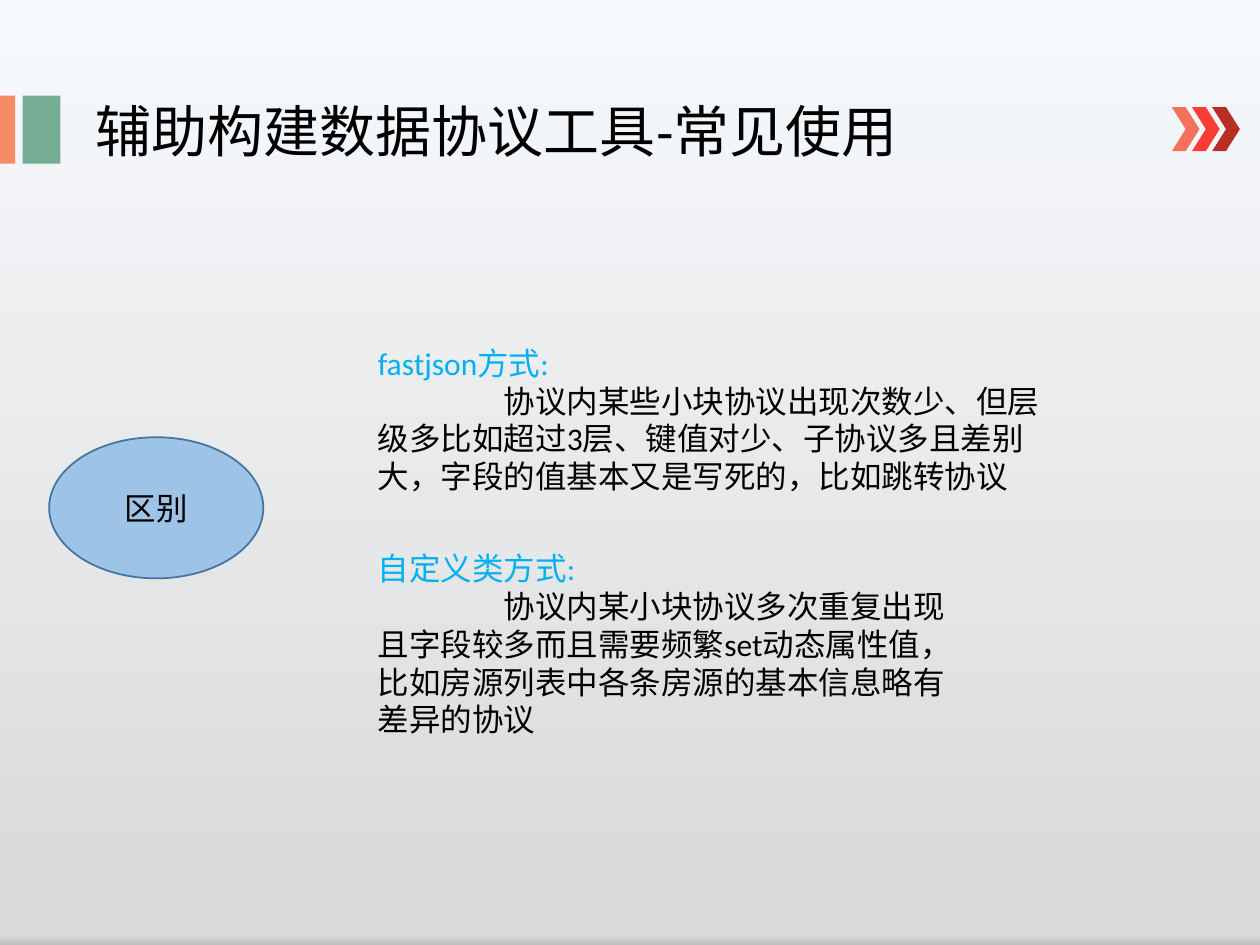
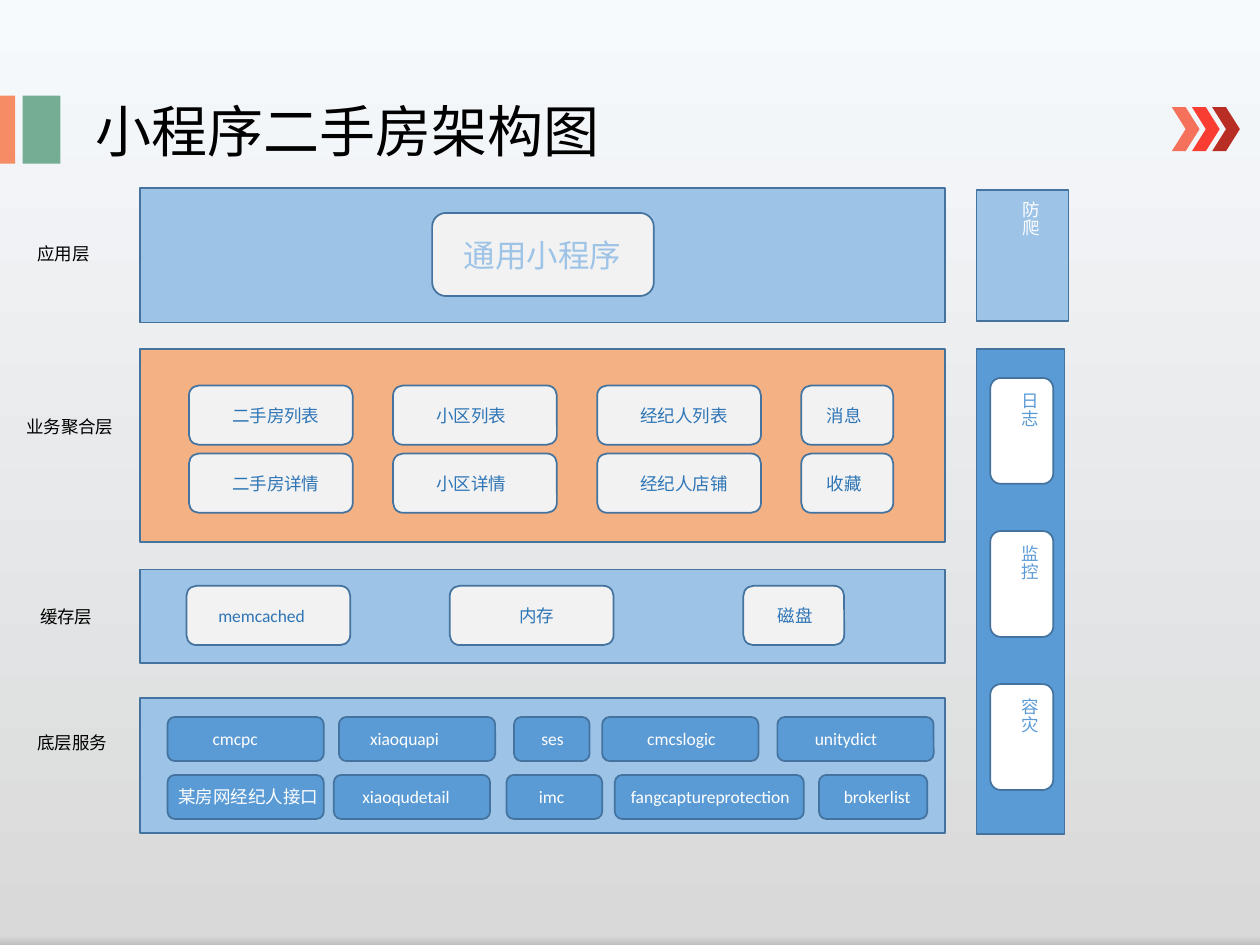
from copy import deepcopy
from dataclasses import dataclass

from pptx import Presentation
from pptx import util as u
from pptx.dml.color import RGBColor
from pptx.enum import shapes, text
from pptx.oxml.ns import qn

SHAPE = shapes.MSO_SHAPE
ALIGN = text.PP_ALIGN
ANCHOR = text.MSO_ANCHOR
SLIDE_WIDTH, SLIDE_HEIGHT = u.Inches(10), u.Inches(7.5)
COLUMNS = 100  # square grid: 100 columns by 75 rows
TITLE_ONLY = 5


@dataclass(frozen=True)
class Theme:
    font: str = "Calibri"
    title_size: int = 32
    body_size: int = 18
    label_size: int = 10
    ink: str = "000000"
    white: str = "FFFFFF"
    heading: str = "00B0F0"
    pale_blue: str = "9DC3E6"
    mid_blue: str = "5B9BD5"
    deep_blue: str = "2E75B6"
    outline: str = "43739E"
    orange: str = "F4B183"
    card: str = "F2F2F2"
    title_bars: tuple = ("F58C65", "74AD93")
    chevrons: tuple = ("F5715B", "F93D32", "B82E24")
    background: tuple = ((0, "F7FAFD"), (0.99, "D9D9D9"), (1, "BFBFBF"))


THEME = Theme()


def grid(units):
    return round(SLIDE_WIDTH * units / COLUMNS)


def rgb(code):
    return RGBColor.from_string(code)


def paint_background(master):
    fill = master.background.fill
    fill.gradient()
    fill.gradient_angle = 270
    stop_list = master.element.find(".//" + qn("a:gsLst"))
    stop_list.append(deepcopy(stop_list[-1]))
    for stop, (position, color) in zip(fill.gradient_stops, THEME.background):
        stop.position = position
        stop.color.rgb = rgb(color)


def style_paragraph(paragraph, content, size, color, align=ALIGN.LEFT):
    paragraph.text = content
    paragraph.alignment = align
    paragraph.font.name = THEME.font
    paragraph.font.size = u.Pt(size)
    paragraph.font.color.rgb = rgb(color)


def add_box(slide, preset, left, top, width, height, fill, line=THEME.outline):
    box = slide.shapes.add_shape(preset, *map(grid, (left, top, width, height)))
    box.shadow.inherit = False
    box.fill.solid()
    box.fill.fore_color.rgb = rgb(fill)
    if line:
        box.line.color.rgb = rgb(line)
        box.line.width = u.Pt(1)
    else:
        box.line.fill.background()
    return box


def add_text(slide, left, top, width, height):
    frame = slide.shapes.add_textbox(*map(grid, (left, top, width, height))).text_frame
    frame.word_wrap = True
    return frame


def add_card(slide, left, top, width, height, label, inset,
             fill=THEME.card, color=THEME.deep_blue, size=THEME.label_size):
    """Rounded card whose label starts at a given inset from its left side."""
    card = add_box(slide, SHAPE.ROUNDED_RECTANGLE, left, top, width, height, fill)
    frame = card.text_frame
    frame.word_wrap = True
    frame.vertical_anchor = ANCHOR.MIDDLE
    frame.margin_left, frame.margin_right = grid(inset), 0
    style_paragraph(frame.paragraphs[0], label, size, color)


def write_vertically(box, label, color):
    frame = box.text_frame
    frame.vertical_anchor = ANCHOR.MIDDLE
    frame.margin_left, frame.margin_top = grid(1.3), grid(0.9)
    frame.margin_right = frame.margin_bottom = 0
    frame._txBody.bodyPr.set("vert", "eaVert")
    style_paragraph(frame.paragraphs[0], label, THEME.label_size, color, ALIGN.CENTER)


def add_explanation(slide, top, width, heading, body):
    frame = add_text(slide, 29, top, width, 16.2)
    style_paragraph(frame.paragraphs[0], heading, THEME.body_size, THEME.heading)
    paragraph = frame.add_paragraph()
    style_paragraph(paragraph, body, THEME.body_size, THEME.ink)
    paragraph._p.get_or_add_pPr().set("indent", str(grid(10)))


def add_titled_slide(presentation, title):
    slide = presentation.slides.add_slide(presentation.slide_layouts[TITLE_ONLY])
    holder = slide.shapes.title
    holder.left, holder.top, holder.width, holder.height = map(grid, (6.6, 7.1, 81.3, 6.4))
    frame = holder.text_frame
    frame.auto_size = text.MSO_AUTO_SIZE.NONE
    frame.vertical_anchor = ANCHOR.MIDDLE
    style_paragraph(frame.paragraphs[0], title, THEME.title_size, THEME.ink)
    for (left, width), color in zip(((0, 1.2), (1.8, 3)), THEME.title_bars):
        add_box(slide, SHAPE.RECTANGLE, left, 7.6, width, 5.4, color, None)
    for index, color in enumerate(THEME.chevrons):
        add_box(slide, SHAPE.CHEVRON, 93 + 1.6 * index, 8.5, 2.2, 3.5, color, None)
    return slide


def build_comparison(presentation):
    slide = add_titled_slide(presentation, "辅助构建数据协议工具-常见使用")
    add_explanation(
        slide, 26.8, 55.4, "fastjson方式:",
        "协议内某些小块协议出现次数少、但层级多比如超过3层、键值对少、"
        "子协议多且差别大，字段的值基本又是写死的，比如跳转协议")
    add_explanation(
        slide, 43.1, 48.5, "自定义类方式:",
        "协议内某小块协议多次重复出现且字段较多而且需要频繁set动态属性值，"
        "比如房源列表中各条房源的基本信息略有差异的协议")
    topic = add_box(slide, SHAPE.OVAL, 3.9, 34.7, 17, 11.2, THEME.pale_blue)
    topic.text_frame.vertical_anchor = ANCHOR.MIDDLE
    style_paragraph(topic.text_frame.paragraphs[0], "区别", THEME.body_size,
                    THEME.ink, ALIGN.CENTER)


def add_layers(slide):
    layers = (  # name, name left, name top, band top, band height, band fill
        ("应用层", 2, 18.8, 14.9, 10.7, THEME.pale_blue),
        ("业务聚合层", 1.1, 32.5, 27.7, 15.3, THEME.orange),
        ("缓存层", 2.2, 47.6, 45.2, 7.4, THEME.pale_blue),
        ("底层服务", 2, 57.6, 55.4, 10.7, THEME.pale_blue),
    )
    for name, left, name_top, top, height, fill in layers:
        add_box(slide, SHAPE.RECTANGLE, 11.1, top, 63.9, height, fill)
        frame = add_text(slide, left, name_top, 9.4, 2.7)
        style_paragraph(frame.paragraphs[0], name, THEME.label_size, THEME.ink)


def add_aggregation_cards(slide):
    columns = (  # width, label inset, labels from top to bottom
        (13, 3.2, ("二手房列表", "二手房详情")),
        (13, 3.2, ("小区列表", "小区详情")),
        (13, 3.2, ("经纪人列表", "经纪人店铺")),
        (7.3, 1.8, ("消息", "收藏")),
    )
    for column, (width, inset, labels) in enumerate(columns):
        for row, label in enumerate(labels):
            add_card(slide, 15 + 16.2 * column, 30.6 + 5.4 * row, width, 4.7, label, inset)


def add_cache_cards(slide):
    for left, width, label, inset in ((14.8, 13, "memcached", 2.3),
                                      (35.7, 13, "内存", 5.3),
                                      (59, 8, "磁盘", 2.5)):
        add_card(slide, left, 46.5, width, 4.7, label, inset)


def add_service_cards(slide):
    rows = (  # top, then left, width, label and inset of each card
        (56.9, ((13.3, 12.4, "cmcpc", 3.4), (26.9, 12.4, "xiaoquapi", 2.3),
                (40.8, 6, "ses", 2), (47.8, 12.4, "cmcslogic", 3.4),
                (61.7, 12.4, "unitydict", 2.8))),
        (61.5, ((13.3, 12.4, "某房网经纪人接口", 0.7), (26.5, 12.4, "xiaoqudetail", 2.1),
                (40.2, 7.6, "imc", 2.4), (48.8, 15, "fangcaptureprotection", 1.1),
                (65, 8.6, "brokerlist", 1.8))),
    )
    for top, cards in rows:
        for left, width, label, inset in cards:
            add_card(slide, left, top, width, 3.5, label, inset,
                     THEME.mid_blue, THEME.white)


def add_side_services(slide):
    guard = add_box(slide, SHAPE.RECTANGLE, 77.5, 15.1, 7.3, 10.4, THEME.pale_blue)
    write_vertically(guard, "防爬", THEME.white)
    add_box(slide, SHAPE.RECTANGLE, 77.5, 27.7, 7, 38.5, THEME.mid_blue)
    for index, label in enumerate(("日志", "监控", "容灾")):
        card = add_box(slide, SHAPE.ROUNDED_RECTANGLE, 78.6, 30 + 12.15 * index,
                       5, 8.4, THEME.white)
        write_vertically(card, label, THEME.mid_blue)


def build_architecture(presentation):
    slide = add_titled_slide(presentation, "小程序二手房架构图")
    add_layers(slide)
    add_card(slide, 34.3, 16.9, 17.6, 6.6, "通用小程序", 2.2,
             color=THEME.pale_blue, size=THEME.body_size)
    add_aggregation_cards(slide)
    add_cache_cards(slide)
    add_service_cards(slide)
    add_side_services(slide)


def main():
    presentation = Presentation()
    presentation.slide_width, presentation.slide_height = SLIDE_WIDTH, SLIDE_HEIGHT
    paint_background(presentation.slide_master)
    build_comparison(presentation)
    build_architecture(presentation)
    presentation.save("out.pptx")


if __name__ == "__main__":
    main()
